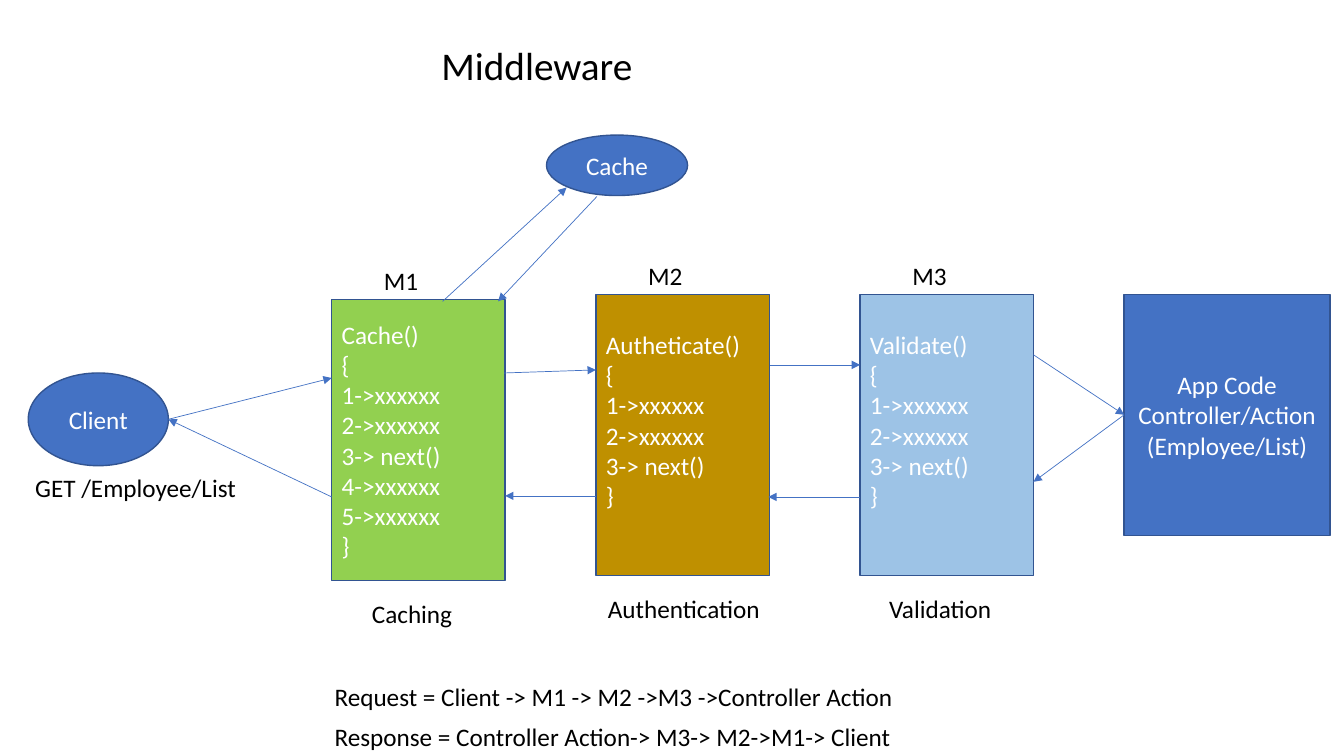
from dataclasses import dataclass

from lxml.etree import SubElement
from pptx import Presentation
from pptx.dml.color import RGBColor
from pptx.enum.shapes import MSO_CONNECTOR, MSO_SHAPE
from pptx.enum.text import MSO_ANCHOR, PP_ALIGN
from pptx.oxml.ns import qn
from pptx.util import Pt

PX = 9144  # EMU per px, 100 px to the inch
STAGE_LEFT, STAGE_PITCH = 329, 262
STAGE_WIDTH, STAGE_HEIGHT = 172, 279
TEXT_LINE = 30


@dataclass(frozen=True)
class Theme:
    font: str = "Calibri"
    ink: str = "000000"
    on_fill: str = "FFFFFF"
    blue: str = "4472C4"
    outline: str = "325491"
    green: str = "92D050"
    gold: str = "BF9000"
    sky: str = "9DC3E6"
    title_size: int = 28
    body_size: int = 18
    outline_width: float = 1
    arrow_width: float = 0.5


THEME = Theme()


def emu(*lengths):
    return [length * PX for length in lengths]


def rgb(value):
    return RGBColor.from_string(value)


def write_lines(frame, lines, color, size, align):
    frame.word_wrap = True
    frame.text = "\n".join(lines)
    for paragraph in frame.paragraphs:
        paragraph.alignment = align
        paragraph.font.name = THEME.font
        paragraph.font.size = Pt(size)
        paragraph.font.color.rgb = rgb(color)


def add_label(slide, left, top, width, height, text, size=THEME.body_size):
    label = slide.shapes.add_textbox(*emu(left, top, width, height))
    write_lines(label.text_frame, [text], THEME.ink, size, PP_ALIGN.LEFT)


def add_node(slide, preset, bounds, lines, fill=THEME.blue, align=PP_ALIGN.CENTER):
    node = slide.shapes.add_shape(preset, *emu(*bounds))
    node.shadow.inherit = False
    node.fill.solid()
    node.fill.fore_color.rgb = rgb(fill)
    node.line.color.rgb = rgb(THEME.outline)
    node.line.width = Pt(THEME.outline_width)
    node.text_frame.vertical_anchor = MSO_ANCHOR.MIDDLE
    write_lines(node.text_frame, lines, THEME.on_fill, THEME.body_size, align)
    return node


def add_arrow(slide, start, end):
    arrow = slide.shapes.add_connector(MSO_CONNECTOR.STRAIGHT, *emu(*start, *end))
    arrow.line.color.rgb = rgb(THEME.blue)
    arrow.line.width = Pt(THEME.arrow_width)
    SubElement(arrow.line._get_or_add_ln(), qn("a:tailEnd"), type="triangle")
    SubElement(arrow._element.spPr, qn("a:effectLst"))
    return arrow


def add_stage(slide, index, top, function, steps, fill, lift, caption, caption_box):
    """Draw one middleware box with its number above and its role below."""
    left = STAGE_LEFT + index * STAGE_PITCH
    stage = add_node(slide, MSO_SHAPE.RECTANGLE,
                     (left, top, STAGE_WIDTH, STAGE_HEIGHT),
                     [function, "{", *steps, "}"], fill, PP_ALIGN.LEFT)
    stage.text_frame.margin_bottom += lift * PX
    add_label(slide, left + 42, top - 39, 95, 40, f"M{index + 1}")
    caption_left, caption_width = caption_box
    add_label(slide, caption_left, top + 292, caption_width, 40, caption)


def main():
    presentation = Presentation()
    presentation.slide_width, presentation.slide_height = emu(1333, 750)
    slide = presentation.slides.add_slide(presentation.slide_layouts[6])

    add_label(slide, 428, 36, 482, 57, "Middleware", THEME.title_size)
    app_code = add_node(slide, MSO_SHAPE.RECTANGLE,
                        (STAGE_LEFT + 3 * STAGE_PITCH, 292, 204, 239),
                        ["App Code", "Controller/Action", "(Employee/List)"])
    add_node(slide, MSO_SHAPE.OVAL, (28, 370, 139, 92), ["Client"])
    add_node(slide, MSO_SHAPE.OVAL, (542, 134, 140, 60), ["Cache"])
    add_label(slide, 25, 464, 222, 40, "GET /Employee/List")

    steps = ["1->xxxxxx", "2->xxxxxx", "3-> next()"]
    cache_steps = steps + ["4->xxxxxx", "5->xxxxxx"]
    stages = [
        (297, "Cache()", cache_steps, THEME.green, 0, "Caching", (359, 186)),
        (292, "Autheticate()", steps, THEME.gold, TEXT_LINE, "Authentication", (593, 195)),
        (292, "Validate()", steps, THEME.sky, TEXT_LINE, "Validation", (872, 145)),
    ]
    for index, stage in enumerate(stages):
        add_stage(slide, index, *stage)

    client_port, app_port = (167, 416), (1115, 411)
    arrows = [
        (client_port, (329, 375)),
        ((500, 370), (591, 367)),
        ((764, 362), (853, 362)),
        ((853, 493), (762, 493)),
        ((591, 492), (501, 492)),
        ((329, 493), client_port),
        ((439, 299), (562, 186)),
        ((592, 195), (494, 299)),
    ]
    for start, end in arrows:
        add_arrow(slide, start, end)
    add_arrow(slide, (1025, 352), app_port).end_connect(app_code, 1)
    add_arrow(slide, app_port, (1025, 478)).begin_connect(app_code, 1)

    flows = ["Request = Client -> M1 -> M2 ->M3 ->Controller Action",
             "Response = Controller Action-> M3-> M2->M1-> Client"]
    for row, flow in enumerate(flows):
        add_label(slide, 322, 671 + 40 * row, 624, 40, flow)

    presentation.save("out.pptx")


if __name__ == "__main__":
    main()
